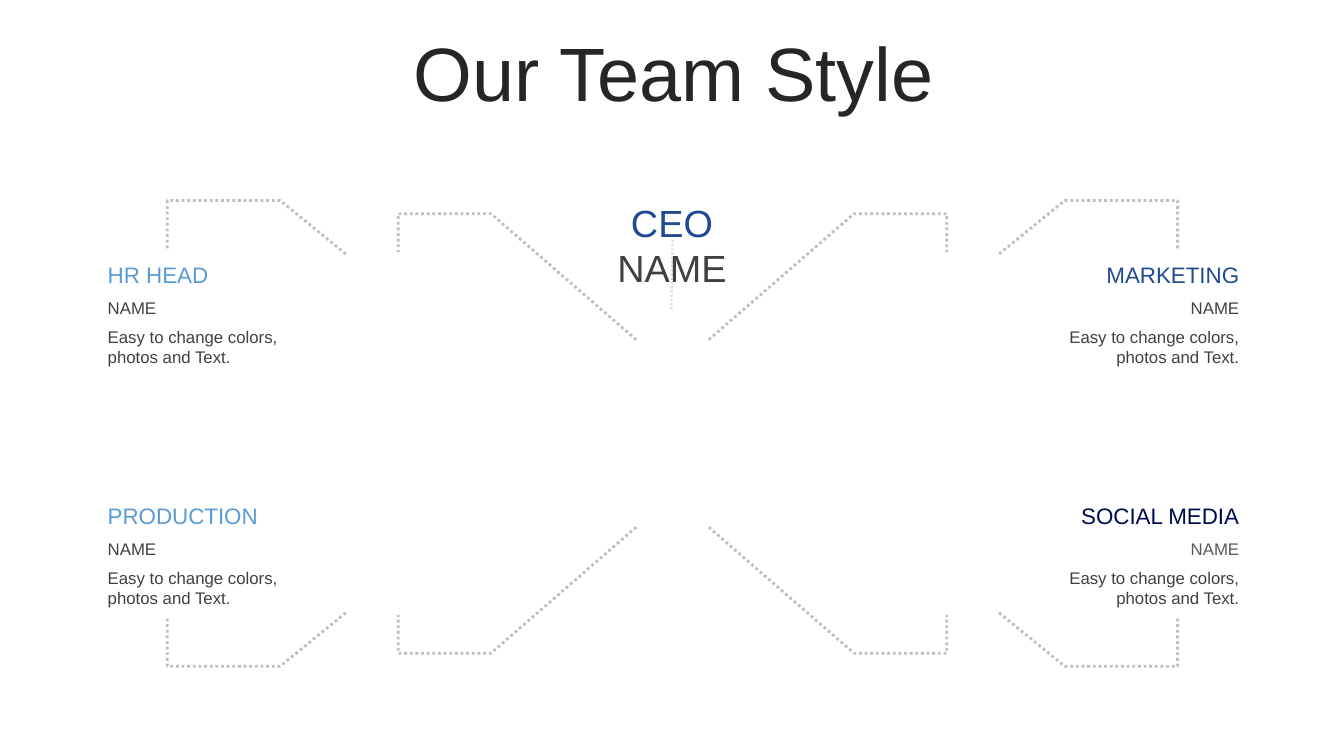
from collections import namedtuple
from itertools import product

from pptx import Presentation
from pptx.dml.color import RGBColor
from pptx.enum.dml import MSO_LINE_DASH_STYLE as Dash
from pptx.enum.shapes import MSO_CONNECTOR as Connector
from pptx.enum.text import MSO_ANCHOR as Anchor, MSO_AUTO_SIZE as AutoSize, PP_ALIGN as Align
from pptx.oxml.ns import qn
from pptx.util import Pt
from lxml.etree import SubElement

PX = 9144
Box = namedtuple("Box", "left top width height")
COLORS = {
    "title": "262626", "text": "404040", "muted": "595959", "link": "BFBFBF",
    "stem": "D9D9D9", "sky": "5A9BD5", "blue": "224A90", "navy": "010A4F",
}


def color(name):
    """Return the named palette colour."""
    return RGBColor.from_string(COLORS[name])


def add_text(page, box, lines, size, align, anchor=Anchor.MIDDLE):
    """Write (text, colour) lines in a wrapping box and return its paragraphs."""
    frame = page.shapes.add_textbox(*(length * PX for length in box)).text_frame
    frame.word_wrap = True
    frame.vertical_anchor = anchor
    frame.auto_size = AutoSize.SHAPE_TO_FIT_TEXT if anchor == Anchor.TOP else AutoSize.NONE
    frame.text = "\n".join(text for text, _ in lines)
    for para, (_, shade) in zip(frame.paragraphs, lines):
        para.alignment = align
        para.font.name = "Arial"
        para.font.size = Pt(size)
        para.font.color.rgb = color(shade)
    return frame.paragraphs


def style_line(shape, shade, width):
    """Give a shape a dotted line."""
    shape.line.color.rgb = color(shade)
    shape.line.width = Pt(width)
    shape.line.dash_style = Dash.ROUND_DOT


def add_title(page, box):
    """Place the slide title."""
    para = add_text(page, box, [("Our Team Style", "title")], 54, Align.CENTER)[0]
    para.line_spacing = 0.9
    para.space_before = Pt(10)


def add_links(page, box):
    """Mirror the inner and outer dotted links into all four corners of the box."""
    inner = [(465, 138), (321, 13), (229, 13), (229, 51)]
    outer = [(177, 53), (112, 0), (0, 0), (0, 50)]
    for link, flip_x, flip_y in product((inner, outer), (False, True), (False, True)):
        points = [
            (box.left + (box.width - x if flip_x else x),
             box.top + (box.height - y if flip_y else y))
            for x, y in link
        ]
        builder = page.shapes.build_freeform(*points[0], scale=PX)
        builder.add_line_segments(points[1:], close=False)
        shape = builder.convert_to_shape()
        shape.fill.background()
        shape.shadow.inherit = False
        style_line(shape, "link", 2)


def add_leader(page, box):
    """Place the leader's role and name over a short dotted stem."""
    middle = box.left + box.width // 2
    ends = (middle + 1, box.top + 45, middle, box.top + 114)
    stem = page.shapes.add_connector(Connector.STRAIGHT, *(end * PX for end in ends))
    SubElement(stem.element.spPr, qn("a:effectLst"))
    style_line(stem, "stem", 1.5)
    stem.element.spPr.append(stem.element.spPr.find(qn("a:effectLst")))
    add_text(page, box, [("CEO", "blue"), ("NAME", "text")], 27, Align.CENTER, Anchor.TOP)


def add_member(page, box, role, role_color, name_color, align):
    """Place a team member's role, name and description."""
    left, top, width, _ = box
    add_text(page, Box(left, top, width, 35), [(role, role_color)], 16, align)
    add_text(page, Box(left, top + 36, width, 28), [("NAME", name_color)], 12, align)
    add_text(page, Box(left, top + 64, width, 50),
             [("Easy to change colors, photos and Text.", "text")], 12, align, Anchor.TOP)


def main():
    """Build the team slide."""
    deck = Presentation()
    deck.slide_width, deck.slide_height = 1333 * PX, 750 * PX
    page = deck.slides.add_slide(deck.slide_layouts[6])
    add_links(page, Box(166, 199, 1002, 462))
    add_leader(page, Box(580, 193, 173, 101))
    members = [
        ("HR HEAD", "sky", "text"), ("PRODUCTION", "sky", "text"),
        ("MARKETING", "blue", "text"), ("SOCIAL MEDIA", "navy", "muted"),
    ]
    places = product(((97, Align.LEFT), (1042, Align.RIGHT)), (255, 494))
    for member, ((left, align), top) in zip(members, places):
        add_member(page, Box(left, top, 197, 114), *member, align)
    add_title(page, Box(35, 37, 1266, 79))
    deck.save("out.pptx")


if __name__ == "__main__":
    main()
